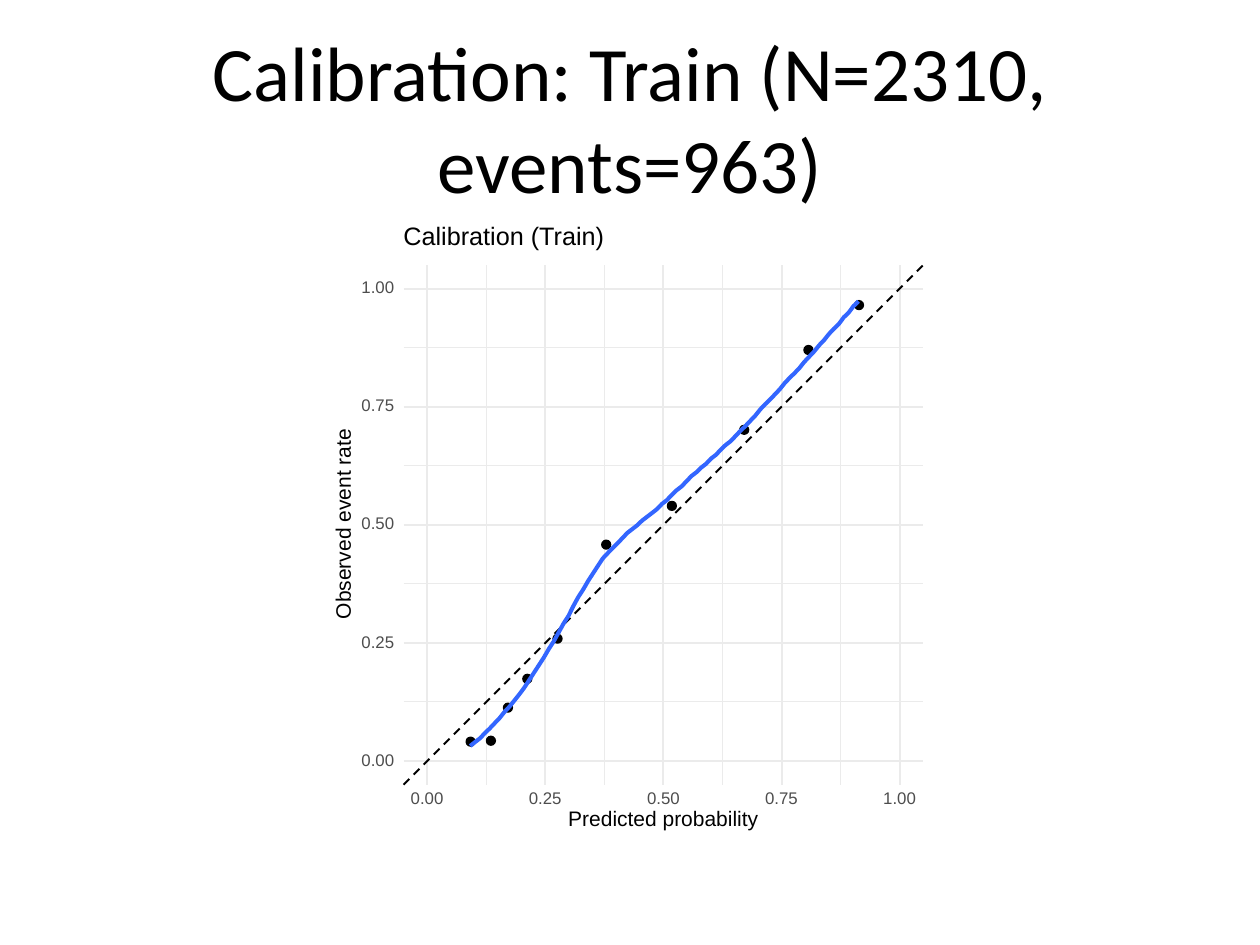
from lxml import etree
from pptx import Presentation
from pptx.dml.color import RGBColor
from pptx.enum.dml import MSO_LINE
from pptx.enum.shapes import MSO_CONNECTOR, MSO_SHAPE
from pptx.enum.text import MSO_ANCHOR, PP_ALIGN
from pptx.oxml.ns import qn
from pptx.util import Pt

STRAIGHT = MSO_CONNECTOR.STRAIGHT
RECTANGLE, OVAL = MSO_SHAPE.RECTANGLE, MSO_SHAPE.OVAL
DASH = MSO_LINE.DASH
MIDDLE = MSO_ANCHOR.MIDDLE
LEFT, CENTER = PP_ALIGN.LEFT, PP_ALIGN.CENTER

BLACK = RGBColor(0x00, 0x00, 0x00)
WHITE = RGBColor(0xFF, 0xFF, 0xFF)
GRID_GRAY = RGBColor(0xEB, 0xEB, 0xEB)
LABEL_GRAY = RGBColor(0x4D, 0x4D, 0x4D)
CURVE_BLUE = RGBColor(0x33, 0x66, 0xFF)

# Content: all probabilities and rates in percent
TITLE = "Calibration: Train (N=2310, events=963)"
CHART_TITLE = "Calibration (Train)"
X_TITLE = "Predicted probability"
Y_TITLE = "Observed event rate"
MAJOR_TICKS = [0, 25, 50, 75, 100]
MINOR_TICKS = [12.5, 37.5, 62.5, 87.5]
AXIS_MIN, AXIS_MAX = -5, 105
BINS = [  # predicted, observed
    (9.2, 4.1), (13.5, 4.3), (17.1, 11.3), (21.2, 17.4), (27.6, 25.9),
    (37.9, 45.8), (51.8, 54.0), (67.1, 70.1), (80.7, 87.0), (91.4, 96.5),
]
CURVE_START, CURVE_END = 9.1, 91.3
CURVE_RATES = [  # at equal steps of predicted probability
    3.2, 4.0, 4.8, 5.9, 6.9, 8.0, 9.1, 10.4, 11.5, 12.8,
    14.1, 15.5, 17.1, 18.7, 20.3, 21.9, 23.7, 25.3, 27.2, 29.1,
    30.7, 32.8, 34.7, 36.3, 38.1, 39.7, 41.3, 42.9, 44.0, 45.1,
    46.1, 47.2, 48.3, 49.1, 49.9, 50.9, 51.7, 52.5, 53.3, 54.4,
    55.2, 56.3, 57.3, 58.1, 59.2, 60.3, 61.1, 62.1, 62.9, 64.0,
    64.8, 65.9, 66.9, 67.7, 68.8, 69.9, 70.9, 72.0, 73.1, 74.4,
    75.5, 76.5, 77.6, 78.7, 80.0, 81.1, 82.1, 83.2, 84.5, 85.6,
    86.7, 88.0, 89.1, 90.4, 91.5, 92.5, 93.9, 94.9, 96.3, 97.3,
]

# Plot geometry in points
ORIGIN_X, ORIGIN_Y = 244.1, 434.9
POINTS_PER_PERCENT = 2.7
DOT_SIZE = 5.1
LABEL_WIDTH, LABEL_HEIGHT = 18.7, 7


def plot_x(percent):
    return ORIGIN_X + percent * POINTS_PER_PERCENT


def plot_y(percent):
    return ORIGIN_Y - percent * POINTS_PER_PERCENT


def add_filled(shapes, kind, left, top, width, height, color, line_width):
    shape = shapes.add_shape(kind, Pt(left), Pt(top), Pt(width), Pt(height))
    shape.shadow.inherit = False
    shape.fill.solid()
    shape.fill.fore_color.rgb = color
    if line_width:
        shape.line.color.rgb = color
        shape.line.width = Pt(line_width)
    else:
        shape.line.fill.background()


def add_line(shapes, start, end, color, width, dash=None):
    """Draw a straight line between two (predicted, observed) positions."""
    line = shapes.add_connector(
        STRAIGHT, Pt(plot_x(start[0])), Pt(plot_y(start[1])),
        Pt(plot_x(end[0])), Pt(plot_y(end[1])))
    etree.SubElement(line._element.spPr, qn("a:effectLst"))
    line.line.color.rgb = color
    line.line.width = Pt(width)
    if dash:
        line.line.dash_style = dash


def add_text(shapes, text, left, top, width, height, size, color=BLACK,
             font="Arial", align=LEFT, wrap=False):
    box = shapes.add_textbox(Pt(left), Pt(top), Pt(width), Pt(height))
    frame = box.text_frame
    frame.word_wrap = wrap
    frame.vertical_anchor = MIDDLE
    paragraph = frame.paragraphs[0]
    paragraph.alignment = align
    if not wrap:
        frame.margin_left = frame.margin_right = 0
        frame.margin_top = frame.margin_bottom = 0
        paragraph.line_spacing = Pt(size)
    run = paragraph.add_run()
    run.text = text
    run.font.name = font
    run.font.size = Pt(size)
    run.font.color.rgb = color
    return box


def add_grid(shapes, ticks, width):
    for tick in ticks:
        add_line(shapes, (AXIS_MIN, tick), (AXIS_MAX, tick), GRID_GRAY, width)
    for tick in ticks:
        add_line(shapes, (tick, AXIS_MIN), (tick, AXIS_MAX), GRID_GRAY, width)


def add_curve(shapes):
    step = (CURVE_END - CURVE_START) / (len(CURVE_RATES) - 1)
    vertices = [(Pt(plot_x(CURVE_START + index * step)), Pt(plot_y(rate)))
                for index, rate in enumerate(CURVE_RATES)]
    builder = shapes.build_freeform(*vertices[0])
    builder.add_line_segments(vertices[1:], close=False)
    curve = builder.convert_to_shape()
    curve.shadow.inherit = False
    curve.fill.background()
    curve.line.color.rgb = CURVE_BLUE
    curve.line.width = Pt(2.33)


def add_plot(shapes):
    # Background and panel
    add_filled(shapes, RECTANGLE, 36, 126, 648, 356.4, WHITE, 0.75)
    add_filled(shapes, RECTANGLE, 186.5, 126, 347, 356.4, WHITE, 0)

    # Grid and line of perfect calibration
    add_grid(shapes, MINOR_TICKS, 0.58)
    add_grid(shapes, MAJOR_TICKS, 1.16)
    add_line(shapes, (AXIS_MIN, AXIS_MIN), (AXIS_MAX, AXIS_MAX),
             BLACK, 1.16, DASH)

    # Bins and fitted curve
    for predicted, observed in BINS:
        add_filled(shapes, OVAL, plot_x(predicted) - DOT_SIZE / 2,
                   plot_y(observed) - DOT_SIZE / 2, DOT_SIZE, DOT_SIZE,
                   BLACK, 0.77)
    add_curve(shapes)

    # Axis labels
    for tick in MAJOR_TICKS:
        label = f"{tick / 100:.2f}"
        positions = [(206.6, plot_y(tick) - LABEL_HEIGHT / 2),
                     (plot_x(tick) - LABEL_WIDTH / 2, 453.3)]
        for left, top in positions:
            add_text(shapes, label, left, top, LABEL_WIDTH, LABEL_HEIGHT,
                     9.6, LABEL_GRAY)

    # Titles of the axes and the plot
    add_text(shapes, X_TITLE, 324.7, 463, 108.7, 11, 12)
    y_title = add_text(shapes, Y_TITLE, 142.6, 295.2, 108.7, 8.6, 12)
    y_title.rotation = 270
    add_text(shapes, CHART_TITLE, 230.6, 128.9, 115.2, 13.7, 14.4)


def main():
    presentation = Presentation()
    presentation.slide_width = Pt(720)
    presentation.slide_height = Pt(540)
    slide = presentation.slides.add_slide(presentation.slide_layouts[6])
    add_text(slide.shapes, TITLE, 36, 21.6, 648, 90, 44,
             font="Calibri", align=CENTER, wrap=True)
    add_plot(slide.shapes.add_group_shape().shapes)
    presentation.save("out.pptx")


if __name__ == "__main__":
    main()
